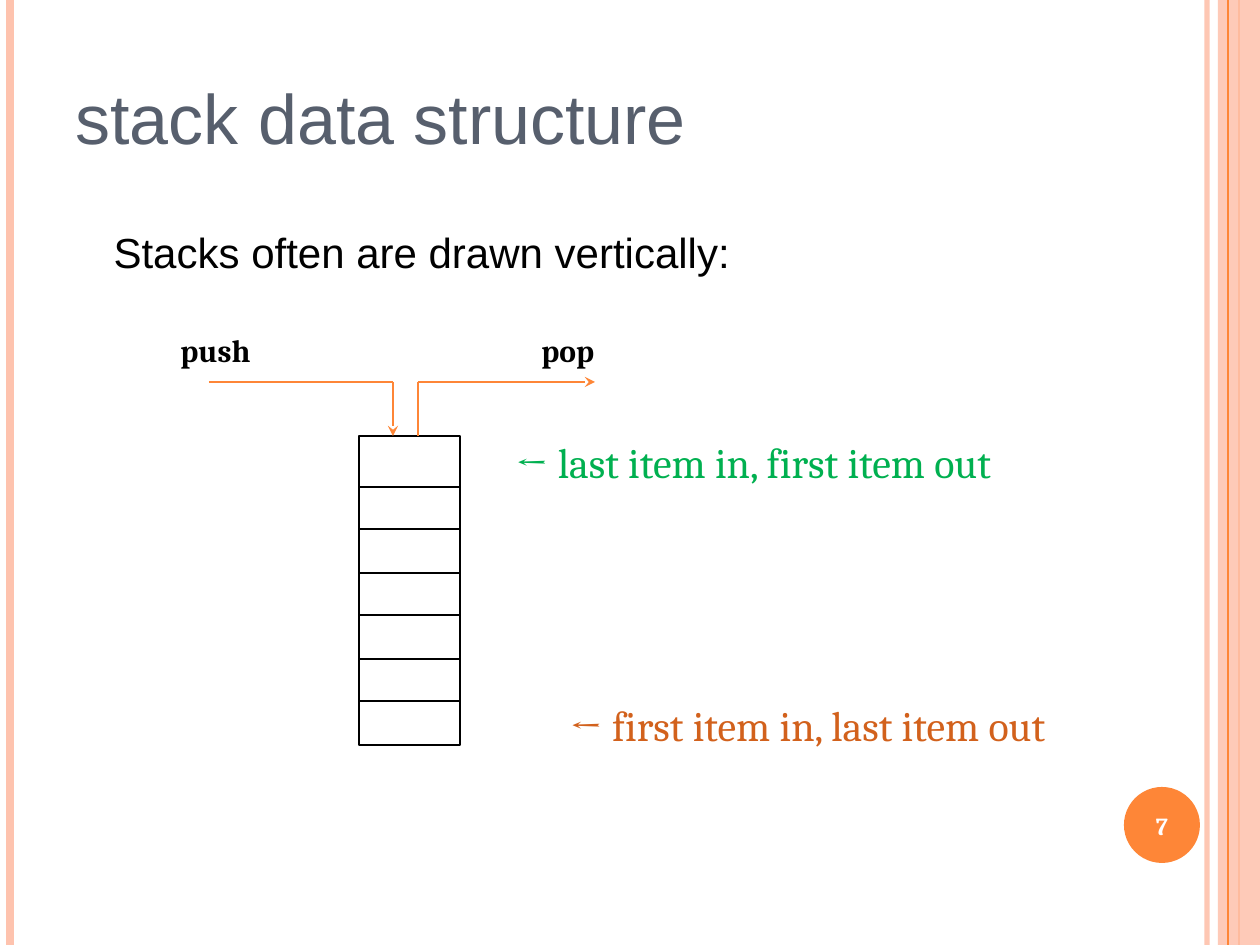
from pptx import Presentation
from pptx.dml.color import RGBColor
from pptx.enum.shapes import MSO_CONNECTOR as CONNECTOR, MSO_SHAPE as SHAPE
from pptx.enum.text import MSO_ANCHOR as ANCHOR, PP_ALIGN as ALIGN
from pptx.oxml.ns import qn
from pptx.util import Pt
from lxml.etree import SubElement

EMU_PER_PX = 914400 / 126
COLORS = {
    "heading": "575F6D", "ink": "000000", "white": "FFFFFF", "accent": "FE8637",
    "pale": "FEC3AE", "newest": "00B050", "oldest": "D2611C",
}


def px(*lengths):
    return [round(length * EMU_PER_PX) for length in lengths]


def set_color(color_format, name, alpha=100):
    color_format.rgb = RGBColor.from_string(COLORS[name])


def set_alpha(shape, percent):
    for color in shape.element.spPr.iter(qn("a:srgbClr")):
        SubElement(color, qn("a:alpha"), val=str(percent * 1000))


class StackSlide:
    """Holds the text style and the slide being drawn."""

    def __init__(self, slide, serif="Cambria", sans="Arial"):
        self.slide, self.serif, self.sans = slide, serif, sans

    def format_text(self, frame, text, size, color, font, bold=False, align=ALIGN.LEFT):
        frame.text = text
        paragraph = frame.paragraphs[0]
        paragraph.alignment = align
        style = paragraph.runs[0].font
        style.size, style.name, style.bold = Pt(size), font, bold
        set_color(style.color, color)
        return paragraph

    def placeholder(self, index, text, box, size, color):
        holder = self.slide.placeholders[index]
        holder.left, holder.top, holder.width, holder.height = px(*box)
        return self.format_text(holder.text_frame, text, size, color, self.sans)

    def title(self, text, box):
        self.placeholder(0, text, box, 40, "heading")

    def body(self, text, box, indent):
        paragraph = self.placeholder(1, text, box, 24, "ink")
        paragraph.space_before = Pt(6)
        properties = paragraph._p.get_or_add_pPr()
        properties.set("marL", str(px(indent)[0]))
        properties.set("indent", "0")
        SubElement(properties, qn("a:buNone"))

    def label(self, text, box, size, color, bold=False, align=ALIGN.LEFT, anchor=ANCHOR.TOP):
        frame = self.slide.shapes.add_textbox(*px(*box)).text_frame
        frame.word_wrap = True
        frame.vertical_anchor = anchor
        self.format_text(frame, text, size, color, self.serif, bold, align)

    def shape(self, kind, box, fill=None, line=None, alpha=100):
        shape = self.slide.shapes.add_shape(kind, *px(*box))
        shape.shadow.inherit = False
        if fill:
            shape.fill.solid()
            set_color(shape.fill.fore_color, fill)
        else:
            shape.fill.background()
        if line:
            set_color(shape.line.color, line)
            shape.line.width = Pt(1)
        else:
            shape.line.fill.background()
        if alpha < 100:
            set_alpha(shape, alpha)

    def line(self, start, end, color="accent", width=1, alpha=100, arrow=False):
        line = self.slide.shapes.add_connector(CONNECTOR.STRAIGHT, *px(*start, *end))
        set_color(line.line.color, color)
        line.line.width = Pt(width)
        if alpha < 100:
            set_alpha(line, alpha)
        if arrow:
            SubElement(line.line._get_or_add_ln(), qn("a:tailEnd"), type="stealth")
        SubElement(line.element.spPr, qn("a:effectLst"))

    def bent_arrow(self, start, corner, end):
        self.line(start, corner)
        self.line(corner, end, arrow=True)


def main():
    deck = Presentation()
    width, height = 1260, 945
    deck.slide_width, deck.slide_height = px(width, height)
    page = StackSlide(deck.slides.add_slide(deck.slide_layouts[1]))

    def stripe(x, color, weight, alpha=100):
        page.line((x, 0), (x, height), color, weight, alpha)

    # Side decoration
    stripe(1207, "pale", 3, 93)
    stripe(10, "pale", 4.5)
    stripe(1239, "accent", 1.5)
    page.shape(SHAPE.RECTANGLE, (1218, 0, 42, height), fill="pale", alpha=87)
    stripe(1228, "accent", 0.75)
    page.shape(SHAPE.OVAL, (1124, 787, 76, 76), fill="accent")
    page.label("7", (1120, 790, 84, 72), 14, "white", True, ALIGN.CENTER, ANCHOR.MIDDLE)

    page.title("stack data structure", (63, 38, 1029, 158))
    page.body("Stacks often are drawn vertically:", (63, 220, 1092, 672), indent=38)

    # Stack: an outer frame, with every second cell outlined inside it
    left, top, cell_width = 359, 436, 101
    page.shape(SHAPE.RECTANGLE, (left, top, cell_width, 309), line="ink")
    for row in range(3):
        page.shape(SHAPE.RECTANGLE, (left, 487 + 86 * row, cell_width, 42), line="ink")

    # Operations at the top of the stack
    rail, push_x, pop_x = 382, 393, 418
    page.label("push", (168, 325, 107, 57), 18, "ink", bold=True)
    page.bent_arrow((209, rail), (push_x, rail), (push_x, top))
    page.label("pop", (529, 325, 91, 57), 18, "ink", bold=True)
    page.bent_arrow((pop_x, top), (pop_x, rail), (595, rail))

    page.label(" ← first item in, last item out", (483, 693, 640, 64), 24, "oldest",
               align=ALIGN.CENTER)
    page.label(" ← last item in, first item out", (494, 430, 596, 64), 24, "newest")

    deck.save("out.pptx")


if __name__ == "__main__":
    main()
